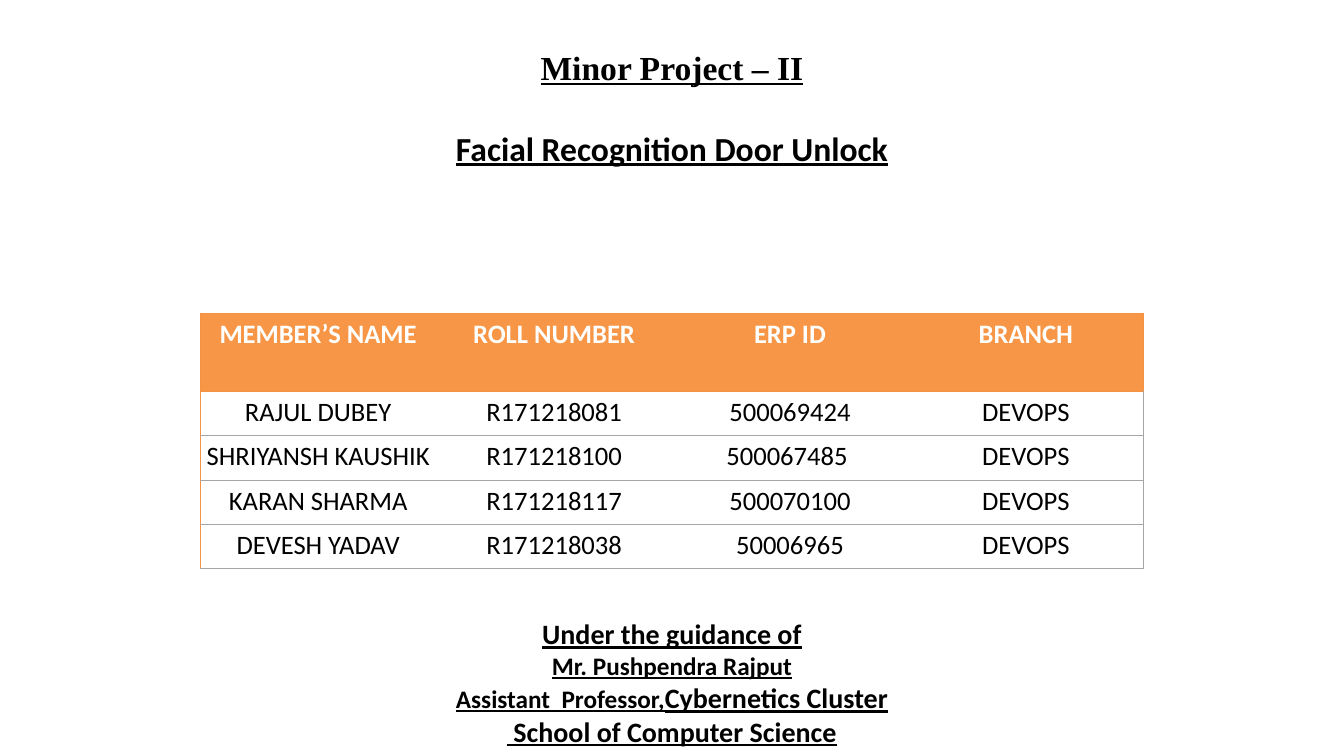
from lxml.etree import SubElement
from pptx import Presentation
from pptx.dml.color import RGBColor
from pptx.enum.text import MSO_ANCHOR, PP_ALIGN
from pptx.oxml.ns import qn
from pptx.util import Emu, Inches, Pt

BLACK, WHITE, ORANGE, EDGE, GREY = "000000", "FFFFFF", "F79646", "F69240", "A6A6A6"
PLAIN = "{2D5ABB26-0587-4C30-8999-92F81FD0307C}"
MEMBERS = [
    ("MEMBER’S NAME", "ROLL NUMBER", "ERP ID", "BRANCH"),
    ("RAJUL DUBEY", "R171218081", "500069424", "DEVOPS"),
    ("SHRIYANSH KAUSHIK", "R171218100", "500067485 ", "DEVOPS"),
    ("KARAN SHARMA", "R171218117", "500070100", "DEVOPS"),
    ("DEVESH YADAV", "R171218038", "50006965", "DEVOPS"),
]
GUIDE = [
    [("Under the guidance of", 20)],
    [("Mr. Pushpendra Rajput", 18)],
    [("Assistant  Professor,", 18), ("Cybernetics Cluster", 20)],
    [(" School of Computer Science", 20)],
]


def color(code):
    return RGBColor.from_string(code)


class Cover:
    font = "Calibri"
    inset = Inches(0.05)

    def __init__(self, deck):
        self.deck = deck
        self.slide = deck.slides.add_slide(deck.slide_layouts[5])

    def area(self, left, top, width, height):
        """Turn percentages of the slide's size into lengths."""
        wide, high = self.deck.slide_width, self.deck.slide_height
        return [Emu(round(part * full / 100)) for part, full in
                zip((left, top, width, height), (wide, high, wide, high))]

    def pad(self, box):
        box.margin_left = box.margin_right = self.inset
        box.margin_top = box.margin_bottom = self.inset

    def run(self, para, text, size, ink=BLACK, bold=True, under=True, font=None):
        para.alignment = PP_ALIGN.CENTER
        run = para.add_run()
        run.text = text
        run.font.name = font or self.font
        run.font.size = Pt(size)
        run.font.bold = bold
        run.font.underline = under
        run.font.color.rgb = color(ink)

    def title(self, area, top, main, gap):
        shape = self.slide.shapes.title
        shape.left, shape.top, shape.width, shape.height = area
        frame = shape.text_frame
        self.pad(frame)
        frame.word_wrap = True
        frame.vertical_anchor = MSO_ANCHOR.MIDDLE
        self.run(frame.paragraphs[0], top, 24, font="Times New Roman")
        para = frame.add_paragraph()
        para.space_before = Pt(gap)
        self.run(para, main, 24)

    def text(self, area, lines):
        frame = self.slide.shapes.add_textbox(*area).text_frame
        self.pad(frame)
        frame.word_wrap = True
        for i, line in enumerate(lines):
            para = frame.add_paragraph() if i else frame.paragraphs[0]
            for words, size in line:
                self.run(para, words, size)

    def edge(self, cell, side, ink):
        line = SubElement(cell._tc.get_or_add_tcPr(), qn(f"a:ln{side}"), w=str(Pt(0.75)))
        fill = SubElement(line, qn("a:solidFill"))
        SubElement(fill, qn("a:srgbClr"), val=ink)

    def cell(self, cell, text, head, first, last):
        self.pad(cell)
        ink = EDGE if head else GREY
        if first:
            self.edge(cell, "L", EDGE)
        if last:
            self.edge(cell, "R", ink)
        if head:
            self.edge(cell, "T", ink)
        self.edge(cell, "B", ink)
        if head:
            cell.fill.solid()
            cell.fill.fore_color.rgb = color(ORANGE)
        else:
            cell.fill.background()
        self.run(cell.text_frame.paragraphs[0], text, 19,
                 WHITE if head else BLACK, bold=head, under=False)

    def table(self, area, rows, head, body):
        """Draw rows of text; head and body are row heights in inches."""
        count = len(rows[0])
        grid = self.slide.shapes.add_table(len(rows), count, *area).table
        grid._tbl.tblPr.find(qn("a:tableStyleId")).text = PLAIN
        grid.horz_banding = False
        for r, row in enumerate(rows):
            grid.rows[r].height = Inches(body if r else head)
            for c, text in enumerate(row):
                self.cell(grid.cell(r, c), text, r == 0, c == 0, c == count - 1)


def main():
    deck = Presentation()
    deck.slide_width, deck.slide_height = Inches(13.33), Inches(7.5)
    cover = Cover(deck)
    cover.title(cover.area(0, 5.6, 100, 17.2),
                "Minor Project – II", "Facial Recognition Door Unlock", 29)
    cover.table(cover.area(14.9, 41.5, 70.2, 33.6), MEMBERS, 0.77, 0.44)
    cover.text(cover.area(25.35, 80.9, 49.3, 19.1), GUIDE)
    deck.save("out.pptx")


if __name__ == "__main__":
    main()
